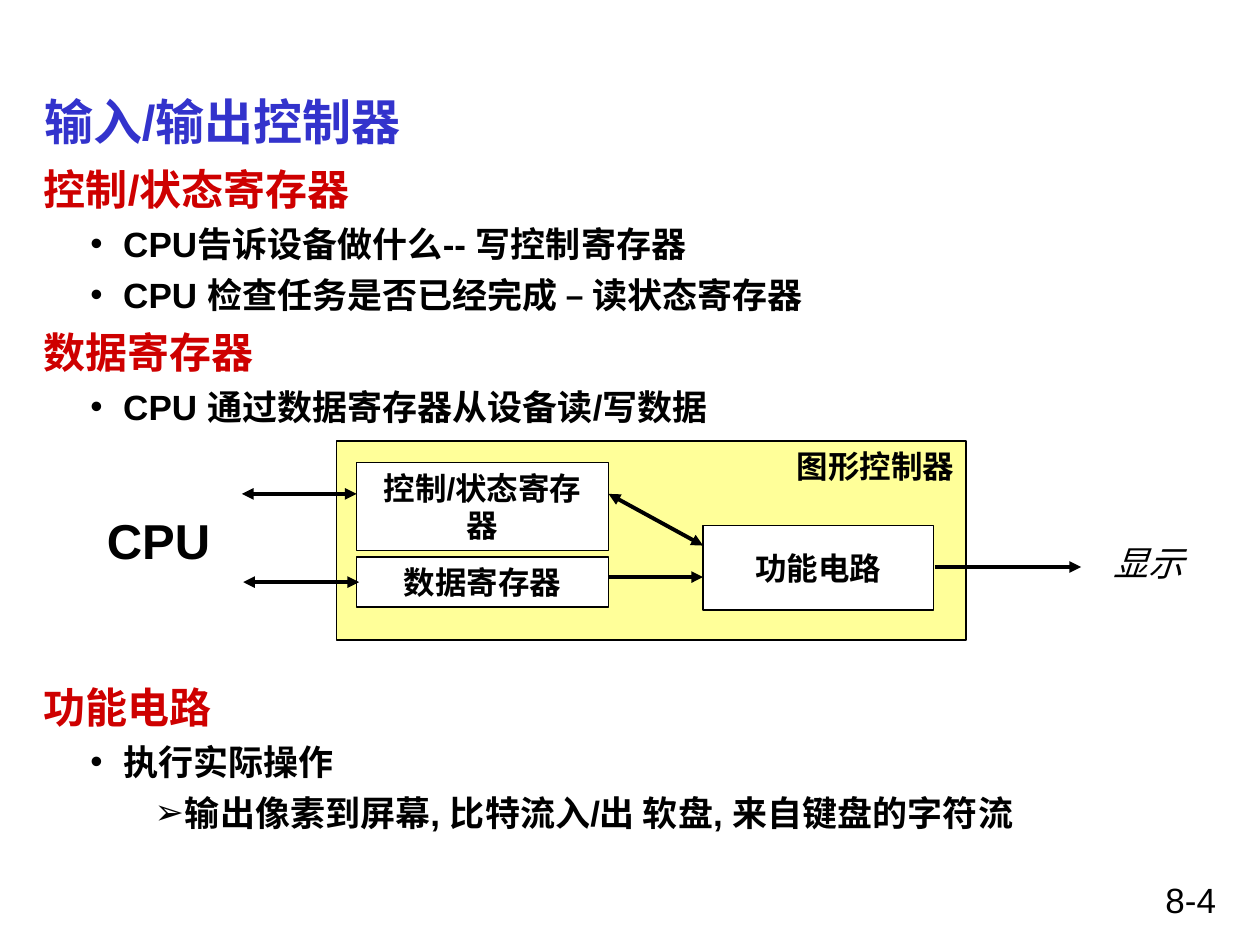
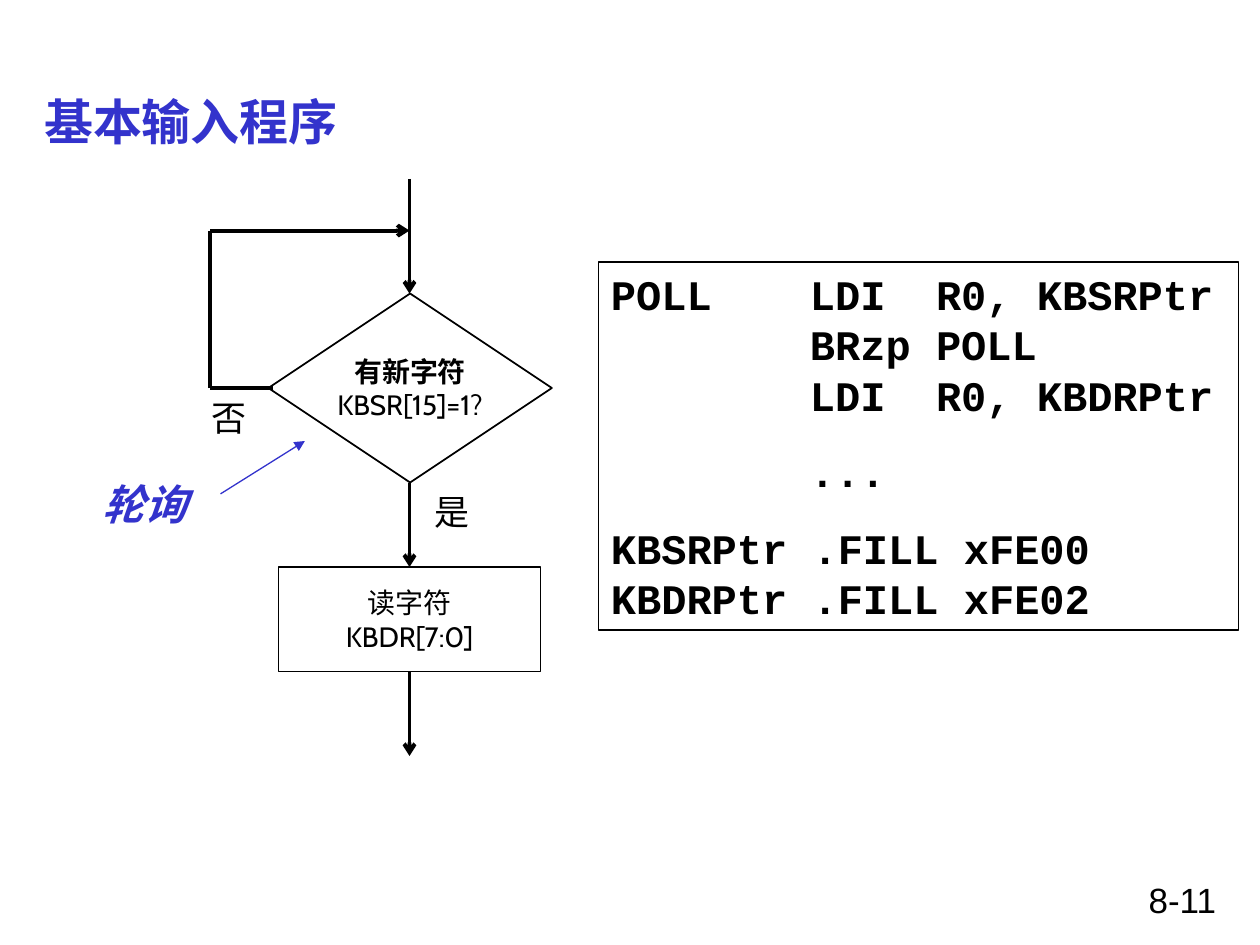
import pptx
import pptx.util
import pptx.dml.color
import pptx.enum.shapes
import pptx.enum.text
import pptx.oxml.ns
import pptx.oxml.xmlchemy

Inches = pptx.util.Inches
Pt = pptx.util.Pt
Align = pptx.enum.text.PP_ALIGN
Anchor = pptx.enum.text.MSO_ANCHOR
Kind = pptx.enum.shapes.MSO_SHAPE
qn = pptx.oxml.ns.qn

BLACK = "000000"
WHITE = "FFFFFF"
BLUE = "3333CC"
RED = "CE0000"
YELLOW = "FFFF99"

HEAD = dict(size=24, color=RED, before=6)
ITEM = dict(size=20, before=5, bullet="•", left=0.63, hang=0.26)
SUB = dict(size=20, before=5, bullet="➢", left=1.12, hang=0.24)


def paint(color):
    return pptx.dml.color.RGBColor.from_string(color)


def add_node(parent, tag, **attrs):
    node = pptx.oxml.xmlchemy.OxmlElement(tag)
    for key, value in attrs.items():
        node.set(key, str(value))
    parent.append(node)
    return node


def add_bullet(para, mark, left, hang):
    props = para._p.get_or_add_pPr()
    props.set("marL", str(Inches(left)))
    props.set("indent", str(-Inches(hang)))
    add_node(add_node(props, "a:buClr"), "a:srgbClr", val=BLACK)
    add_node(props, "a:buFont", typeface="Arial")
    add_node(props, "a:buChar", char=mark)


def add_tab(para, place):
    tabs = add_node(para._p.get_or_add_pPr(), "a:tabLst")
    add_node(tabs, "a:tab", pos=Inches(place), algn="l")


def add_text(para, text, size=18, font="Arial", color=BLACK, bold=False,
             italic=False, align=Align.LEFT, before=0, bullet=None,
             left=0, hang=0, tab=None):
    para.text = text
    if bullet:
        add_bullet(para, bullet, left, hang)
    if tab:
        add_tab(para, tab)
    para.alignment = align
    para.space_before = Pt(before)
    for run in para.runs:
        run.font.size = Pt(size)
        run.font.name = font
        run.font.bold = bold
        run.font.italic = italic
        run.font.color.rgb = paint(color)


def fill_frame(frame, items, anchor=Anchor.TOP, wrap=True, **base):
    frame.word_wrap = wrap
    frame.auto_size = pptx.enum.text.MSO_AUTO_SIZE.NONE
    frame.vertical_anchor = anchor
    for index, (text, style) in enumerate(items):
        para = frame.add_paragraph() if index else frame.paragraphs[0]
        form = {**base, **style}
        if not index:
            form["before"] = 0
        add_text(para, text, **form)


def add_label(slide, box, *items, **base):
    shape = slide.shapes.add_textbox(*map(Inches, box))
    fill_frame(shape.text_frame, items, **base)


def add_box(slide, box, *items, kind=Kind.RECTANGLE, fill=None, width=1, **base):
    shape = slide.shapes.add_shape(kind, *map(Inches, box))
    shape.shadow.inherit = False
    if fill:
        shape.fill.solid()
        shape.fill.fore_color.rgb = paint(fill)
    else:
        shape.fill.background()
    shape.line.color.rgb = paint(BLACK)
    shape.line.width = Pt(width)
    fill_frame(shape.text_frame, items, **base)


def add_line(slide, start, end, color=BLACK, width=2.25, head=None, tail=None):
    line = slide.shapes.add_connector(
        pptx.enum.shapes.MSO_CONNECTOR.STRAIGHT, *map(Inches, start + end))
    line.line.color.rgb = paint(color)
    line.line.width = Pt(width)
    props = line._element.spPr
    stroke = props.find(qn("a:ln"))
    for tag, form in (("a:headEnd", head), ("a:tailEnd", tail)):
        if form:
            add_node(stroke, tag, type=form)
    add_node(props, "a:effectLst")


def add_slide(deck, title, page):
    slide = deck.slides.add_slide(deck.slide_layouts[5])
    shape = slide.shapes.title
    shape.left, shape.top, shape.width, shape.height = map(
        Inches, (0.25, 0.67, 9.5, 0.58))
    fill_frame(shape.text_frame, [(title, {})], anchor=Anchor.MIDDLE,
               size=28, color=BLUE, bold=True)
    add_label(slide, (7.17, 6.92, 2.58, 0.42), (page, {}),
              size=20, align=Align.RIGHT)
    return slide


def draw_device(deck):
    slide = add_slide(deck, "输入/输出控制器", "8-4")
    add_label(slide, (0.25, 1.25, 9.5, 2.25),
              ("控制/状态寄存器", HEAD),
              ("CPU告诉设备做什么-- 写控制寄存器", ITEM),
              ("CPU 检查任务是否已经完成 – 读状态寄存器", ITEM),
              ("数据寄存器", HEAD),
              ("CPU 通过数据寄存器从设备读/写数据", ITEM), bold=True)
    add_label(slide, (0.25, 5.36, 9.5, 1.31),
              ("功能电路", HEAD),
              ("执行实际操作", ITEM),
              ("输出像素到屏幕, 比特流入/出 软盘, 来自键盘的字符流", SUB), bold=True)

    add_box(slide, (2.67, 3.5, 5, 1.58), fill=YELLOW)
    add_label(slide, (4.92, 3.5, 2.75, 0.4), ("图形控制器", {}),
              bold=True, align=Align.RIGHT)
    part = dict(fill=WHITE, bold=True, align=Align.CENTER)
    add_box(slide, (2.83, 3.67, 2, 0.7), ("控制/状态寄存器", {}), **part)
    add_box(slide, (2.83, 4.42, 2, 0.4), ("数据寄存器", {}), **part)
    add_box(slide, (5.58, 4.17, 1.83, 0.67), ("功能电路", {}),
            anchor=Anchor.MIDDLE, wrap=False, **part)

    one = dict(tail="triangle")
    both = dict(head="triangle", tail="triangle")
    add_line(slide, (7.42, 4.5), (8.58, 4.5), **one)
    add_line(slide, (4.83, 4.58), (5.58, 4.58), **one)
    add_line(slide, (4.83, 3.92), (5.58, 4.33), **both)
    add_line(slide, (1.92, 3.92), (2.83, 3.92), **both)
    add_line(slide, (1.93, 4.62), (2.85, 4.62), **both)
    add_label(slide, (0.75, 4, 1.02, 0.57), ("CPU", {}),
              size=28, bold=True, wrap=False)
    add_label(slide, (8.74, 4.25, 0.75, 0.44), ("显示", {}),
              size=20, italic=True, align=Align.CENTER, wrap=False)


def draw_poll(deck):
    slide = add_slide(deck, "基本输入程序", "8-11")
    step = dict(size=16, font="Cabin", align=Align.CENTER,
                anchor=Anchor.MIDDLE, wrap=False)
    add_box(slide, (2.13, 2.33, 2.25, 1.5),
            ("有新字符", dict(font="Arial", bold=True)), ("KBSR[15]=1?", {}),
            kind=Kind.DIAMOND, **step)
    add_box(slide, (2.21, 4.5, 2.08, 0.83),
            ("读字符", {}), ("KBDR[7:0]", {}), **step)

    axis = 3.25
    for top, base in ((1.42, 2.33), (3.83, 4.5), (5.33, 6)):
        add_line(slide, (axis, top), (axis, base), tail="arrow")
    add_line(slide, (2.17, 3.08), (1.67, 3.08))
    add_line(slide, (1.67, 3.08), (1.67, 1.83))
    add_line(slide, (1.67, 1.83), (axis, 1.83), tail="arrow")
    add_line(slide, (1.75, 3.92), (2.42, 3.5), color=BLUE, width=0.75,
             tail="triangle")

    note = dict(align=Align.CENTER, wrap=False)
    add_label(slide, (3.35, 3.84, 0.48, 0.44), ("是", {}), size=20, **note)
    add_label(slide, (1.5, 3.1, 0.63, 0.44), ("否", {}), size=20, **note)
    add_label(slide, (0.72, 3.75, 0.86, 0.5), ("轮询", {}), size=24,
              font="Lato", color=BLUE, bold=True, italic=True, **note)

    add_box(slide, (4.75, 2.08, 5.08, 2.92),
            ("POLL\t LDI  R0, KBSRPtr\n\t BRzp POLL\n\t LDI  R0, KBDRPtr", {}),
            ("\t ...", {}),
            ("KBSRPtr .FILL xFE00\nKBDRPtr .FILL xFE02", {}),
            width=0.75, size=24, font="Courier New", bold=True,
            before=15, tab=1.38)


def main():
    deck = pptx.Presentation()
    deck.slide_width = Inches(10)
    deck.slide_height = Inches(7.5)
    draw_device(deck)
    draw_poll(deck)
    deck.save("out.pptx")


if __name__ == "__main__":
    main()
